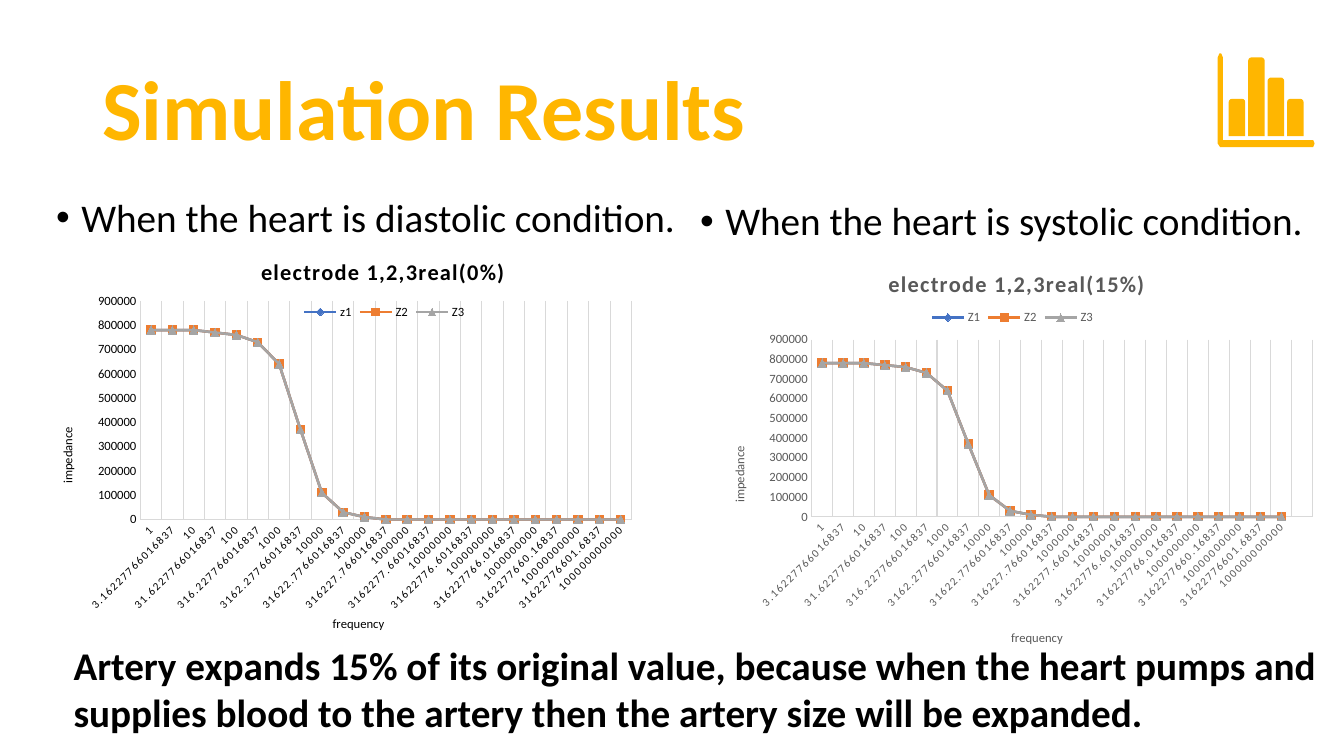
"""Build the simulation results slide with two impedance line charts."""
from lxml.etree import SubElement
from pptx import Presentation
from pptx.chart.data import CategoryChartData
from pptx.dml.color import RGBColor
from pptx.enum.chart import XL_CHART_TYPE as ChartType, XL_LEGEND_POSITION as LegendPosition
from pptx.enum.chart import XL_MARKER_STYLE as Marker, XL_TICK_MARK as TickMark
from pptx.enum.shapes import MSO_SHAPE as Shape
from pptx.enum.text import MSO_ANCHOR as Anchor
from pptx.oxml.ns import qn
from pptx.util import Pt

FONT = "Calibri"
AMBER = RGBColor(0xFF, 0xB6, 0x00)
BLACK = RGBColor(0, 0, 0)
GRAY = RGBColor(0x59, 0x59, 0x59)
GRID = RGBColor(0xD9, 0xD9, 0xD9)
BLUE = RGBColor(0x44, 0x72, 0xC4)
ORANGE = RGBColor(0xED, 0x7D, 0x31)
SILVER = RGBColor(0xA5, 0xA5, 0xA5)


def set_layout(parent, index, **fractions):
    """Place a chart part by fractions of the chart size."""
    layout = parent.find(qn("c:layout"))
    if layout is not None:
        parent.remove(layout)
    layout = SubElement(parent, qn("c:layout"))
    parent.insert(index, layout)
    manual = SubElement(layout, qn("c:manualLayout"))
    if "w" in fractions:
        SubElement(manual, qn("c:layoutTarget")).set("val", "inner")
    for edge in ("x", "y"):
        SubElement(manual, qn(f"c:{edge}Mode")).set("val", "edge")
    for key, fraction in fractions.items():
        SubElement(manual, qn(f"c:{key}")).set("val", str(fraction))


def style_font(font, size, color, bold=False):
    """Apply the slide font with a size, colour and weight."""
    font.name = FONT
    font.size = Pt(size)
    font.bold = bold
    font.color.rgb = color


deck = Presentation()
deck.slide_width, deck.slide_height = Pt(960), Pt(540)
page = deck.slides.add_slide(deck.slide_layouts[6])

DIGITS = "316227766016837"
frequencies = []
for power in range(12):
    frequencies.append(str(10 ** power))
    if power < 11:
        frequencies.append(f"{DIGITS[:power + 1]}.{DIGITS[power + 1:]}")
impedances = [780000] * 3 + [770000, 760000, 730000, 640000, 370000, 110000, 30000, 10000]
impedances += [0] * (len(frequencies) - len(impedances))

series_styles = [(BLUE, Marker.DIAMOND), (ORANGE, Marker.SQUARE), (SILVER, Marker.TRIANGLE)]
charts = [
    dict(frame=(36, 169, 476, 286), title="electrode 1,2,3real(0%)", color=BLACK,
         names=("z1", "Z2", "Z3"), labels=frequencies,
         plot=(0.135, 0.161, 0.737, 0.546), title_at=(0.31, 0.04),
         legend_at=(0.375, 0.16), frequency_at=(0.42, 0.94), impedance_at=(0.01, 0.47)),
    dict(frame=(503, 174, 444, 298), title="electrode 1,2,3real(15%)", color=GRAY,
         names=("Z1", "Z2", "Z3"), labels=frequencies + [""],
         plot=(0.173, 0.23, 0.806, 0.425), title_at=(0.29, 0.05),
         legend_at=(0.36, 0.15), frequency_at=(0.49, 0.92), impedance_at=(0.04, 0.48)),
]
for item in charts:
    color = item["color"]
    data = CategoryChartData()
    data.categories = item["labels"]
    for name in item["names"]:
        data.add_series(name, impedances)
    chart = page.shapes.add_chart(ChartType.LINE_MARKERS, *map(Pt, item["frame"]), data).chart
    style_font(chart.font, 10, color)
    set_layout(chart._chartSpace.chart.plotArea, 0, **dict(zip("xywh", item["plot"])))

    chart.has_legend = True
    chart.legend.position = LegendPosition.TOP
    chart.legend.include_in_layout = False
    style_font(chart.legend.font, 9, color)
    set_layout(chart.legend._element, 1, **dict(zip("xy", item["legend_at"])))

    category_axis, value_axis = chart.category_axis, chart.value_axis
    for axis, size in ((category_axis, 8), (value_axis, 9)):
        axis.major_tick_mark = axis.minor_tick_mark = TickMark.NONE
        style_font(axis.tick_labels.font, size, color)
        axis.format.line.color.rgb = GRID
        axis.format.line.width = Pt(0.75)
    value_axis.has_major_gridlines = False
    value_axis.minimum_scale, value_axis.maximum_scale = 0, 900000
    value_axis.major_unit = 100000
    grid_line = category_axis.major_gridlines.format.line
    grid_line.color.rgb = GRID
    grid_line.width = Pt(0.75)
    label_text = category_axis._element.find(qn("c:txPr"))
    label_text.find(qn("a:bodyPr")).set("rot", "-2700000")
    next(label_text.iter(qn("a:defRPr"))).set("spc", "100")

    titles = [
        (chart, item["title"], 16, True, item["title_at"]),
        (category_axis, "frequency", 9, False, item["frequency_at"]),
        (value_axis, "impedance", 9, False, item["impedance_at"]),
    ]
    for owner, text, size, bold, place in titles:
        title = owner.chart_title if owner is chart else owner.axis_title
        title.text_frame.text = text
        span = title.text_frame.paragraphs[0].runs[0]
        style_font(span.font, size, color, bold)
        if owner is chart:
            span.font._element.set("spc", "100")
        if owner is value_axis:
            title.text_frame._txBody.find(qn("a:bodyPr")).set("rot", "-5400000")
        set_layout(title._element, 1, **dict(zip("xy", place)))

    for series, (series_color, marker) in zip(chart.plots[0].series, series_styles):
        series.smooth = False
        series.format.line.color.rgb = series_color
        series.format.line.width = Pt(1.75)
        series.marker.style = marker
        series.marker.size = 6
        series.marker.format.fill.solid()
        series.marker.format.fill.fore_color.rgb = series_color
        series.marker.format.line.color.rgb = series_color
    chart.plots[0].vary_by_categories = False

axis_outline = [(871, 38.2), (869.8, 41), (869.8, 102.5), (871.5, 105), (938, 105),
                (939, 102.5), (938, 100), (873.5, 100), (873.5, 41), (872.3, 38.2)]
builder = page.shapes.build_freeform(Pt(871), Pt(38.2), scale=1.0)
builder.add_line_segments([(Pt(x), Pt(y)) for x, y in axis_outline[1:]])
icon_parts = [builder.convert_to_shape()]
for position, top in enumerate((70.6, 41, 55.4, 70.6)):
    bar = page.shapes.add_shape(Shape.ROUND_2_SAME_RECTANGLE, Pt(877.7 + 13.9 * position),
                                Pt(top), Pt(11.8), Pt(97.2 - top))
    bar.adjustments[0] = 0.2
    icon_parts.append(bar)
for part in icon_parts:
    part.shadow.inherit = False
    part.fill.solid()
    part.fill.fore_color.rgb = AMBER
    part.line.fill.background()

texts = [
    ("Simulation Results", (66, 29, 828, 104), 60, AMBER, True, False),
    ("When the heart is diastolic condition.", (33, 138, 467, 76), 28, BLACK, False, True),
    ("When the heart is systolic condition.", (493, 140.5, 467, 76), 28, BLACK, False, True),
    ("Artery expands 15% of its original value, because when the heart pumps and "
     "supplies blood to the artery then the artery size will be expanded.",
     (45.5, 454.5, 914, 75), 28, BLACK, True, False),
]
for text, frame, size, color, bold, bulleted in texts:
    box = page.shapes.add_textbox(*map(Pt, frame))
    box.text_frame.word_wrap = True
    para = box.text_frame.paragraphs[0]
    para.text = text
    if size == 60:
        box.text_frame.vertical_anchor = Anchor.MIDDLE
    if size == 60 or bulleted:
        para.line_spacing = 0.9
    if bulleted:
        properties = para._p.get_or_add_pPr()
        properties.set("marL", str(Pt(18)))
        properties.set("indent", str(-Pt(18)))
        SubElement(properties, qn("a:buFont")).set("typeface", "Arial")
        SubElement(properties, qn("a:buChar")).set("char", "•")
    style_font(para.font, size, color, bold)

deck.save("out.pptx")
